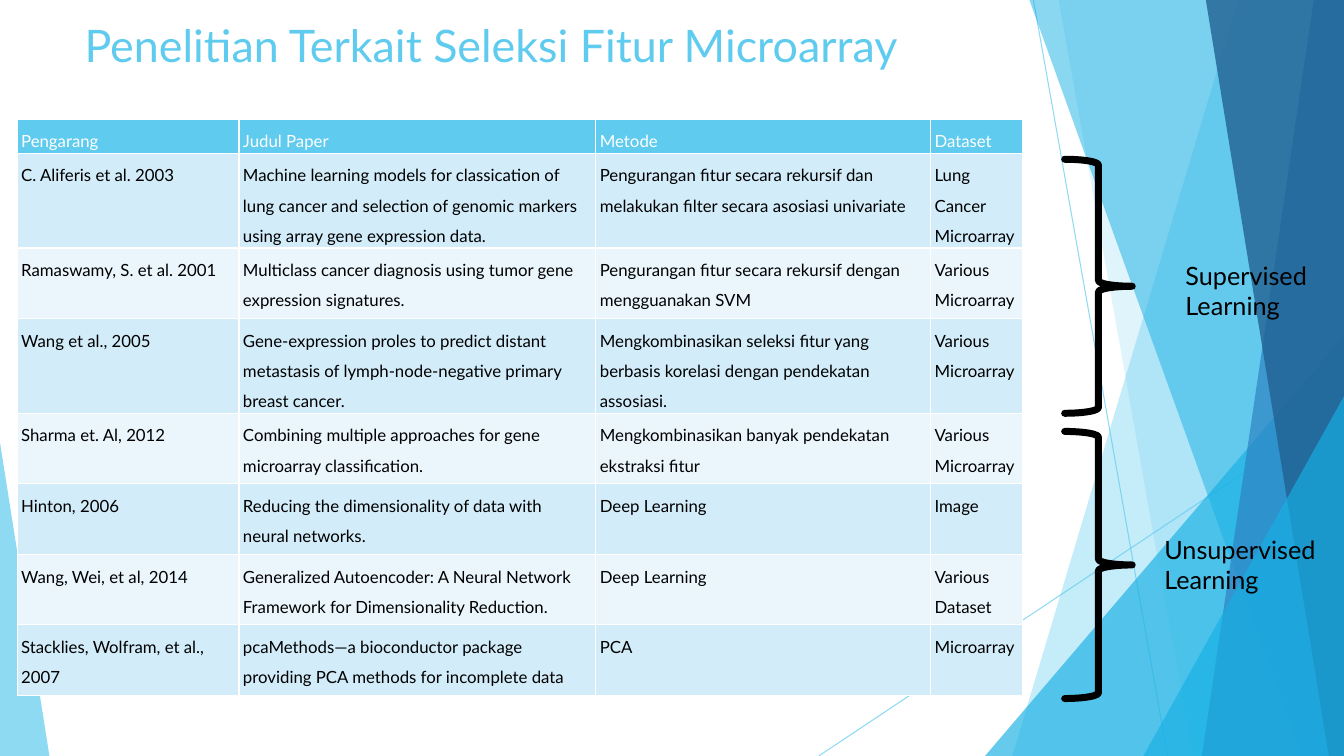
from dataclasses import dataclass

from lxml.etree import SubElement
from pptx import Presentation
from pptx.dml.color import RGBColor
from pptx.enum.shapes import MSO_CONNECTOR, MSO_SHAPE
from pptx.enum.text import MSO_ANCHOR
from pptx.oxml.ns import qn
from pptx.util import Inches, Pt


@dataclass(frozen=True)
class Theme:
    """Colours, font and type sizes of the slide."""
    font: str = "Lato"
    sky: str = "5FCBEF"
    cyan: str = "17B0E4"
    blue: str = "2E83C3"
    navy: str = "226292"
    row_dark: str = "D2ECF9"
    row_light: str = "EAF6FC"
    ink: str = "000000"
    paper: str = "FFFFFF"
    title: int = 32
    label: int = 18
    cell: int = 12


T = Theme()
W, H = 13.33, 7.5

COLUMNS = [2.2, 3.54, 3.32, 0.91]
ROW_HEIGHTS = [0.33, 0.94, 0.7, 0.94, 0.7, 0.7, 0.7, 0.7]
PAPERS = [
    ("Pengarang", "Judul Paper", "Metode", "Dataset"),
    ("C. Aliferis et al. 2003",
     "Machine learning models for classication of lung cancer and selection of "
     "genomic markers using array gene expression data.",
     "Pengurangan fitur secara rekursif dan melakukan filter secara asosiasi univariate",
     "Lung Cancer Microarray"),
    ("Ramaswamy, S. et al. 2001",
     "Multiclass cancer diagnosis using tumor gene expression signatures.",
     "Pengurangan fitur secara rekursif dengan mengguanakan SVM",
     "Various Microarray"),
    ("Wang et al., 2005",
     "Gene-expression proles to predict distant metastasis of lymph-node-negative "
     "primary breast cancer.",
     "Mengkombinasikan seleksi fitur yang berbasis korelasi dengan pendekatan assosiasi.",
     "Various Microarray"),
    ("Sharma et. Al, 2012",
     "Combining multiple approaches for gene microarray classification.",
     "Mengkombinasikan banyak pendekatan ekstraksi fitur",
     "Various Microarray"),
    ("Hinton, 2006",
     "Reducing the dimensionality of data with neural networks.",
     "Deep Learning", "Image"),
    ("Wang, Wei, et al, 2014",
     "Generalized Autoencoder: A Neural Network Framework for Dimensionality Reduction.",
     "Deep Learning", "Various Dataset"),
    ("Stacklies, Wolfram, et al., 2007",
     "pcaMethods—a bioconductor package providing PCA methods for incomplete data",
     "PCA", "Microarray"),
]


def set_alpha(fill, percent):
    """Make a solid fill partly transparent."""
    color = fill._xPr.find(qn("a:solidFill"))[0]
    SubElement(color, qn("a:alpha")).set("val", str(percent * 1000))


def paint(sp, color, alpha):
    """Give a shape a translucent fill and no outline or shadow."""
    sp.shadow.inherit = False
    sp.fill.solid()
    sp.fill.fore_color.rgb = RGBColor.from_string(color)
    set_alpha(sp.fill, alpha)
    sp.line.fill.background()


def style_text(tf, size, color):
    """Format every run of a text frame."""
    for p in tf.paragraphs:
        for r in p.runs:
            r.font.name = T.font
            r.font.size = Pt(size)
            r.font.bold = False
            r.font.color.rgb = RGBColor.from_string(color)


def add_text(slide, box, text, size, color):
    """Place a wrapped text box."""
    tf = slide.shapes.add_textbox(*map(Inches, box)).text_frame
    tf.word_wrap = True
    tf.text = text
    style_text(tf, size, color)


def add_ray(slide, start, end):
    """Draw one thin translucent line."""
    ln = slide.shapes.add_connector(MSO_CONNECTOR.STRAIGHT, *map(Inches, start + end))
    ln.line.width = Pt(0.75)
    ln.line.color.rgb = RGBColor.from_string(T.sky)
    set_alpha(ln.line.fill, 70)
    SubElement(ln._element.spPr, qn("a:effectLst"))


def add_band(slide, top_x, bottom_x, color, alpha):
    """Fill the slide from a slanted edge to its right side."""
    points = [(W, 0), (W, H), (bottom_x, H)]
    fb = slide.shapes.build_freeform(Inches(top_x), 0, scale=1)
    fb.add_line_segments([(Inches(x), Inches(y)) for x, y in points], close=True)
    paint(fb.convert_to_shape(), color, alpha)


def add_corner(slide, left, top, width, apex, color, alpha):
    """Place a triangle that stands on the bottom edge of the slide."""
    box = map(Inches, (left, top, width, H - top))
    sp = slide.shapes.add_shape(MSO_SHAPE.ISOSCELES_TRIANGLE, *box)
    sp.adjustments[0] = apex
    paint(sp, color, alpha)


def add_backdrop(slide):
    """Draw the faceted decoration from back to front."""
    add_ray(slide, (10.25, 0), (11.58, H))
    add_ray(slide, (W, 4.03), (8.12, H))
    add_band(slide, 12.28, 10.04, T.sky, 36)
    add_band(slide, 10.5, 11.83, T.sky, 20)
    add_corner(slide, 9.77, 3.33, W - 9.77, 1, T.cyan, 66)
    add_band(slide, 10.21, 12.91, T.cyan, 50)
    add_band(slide, 13.03, 11.92, T.blue, 70)
    add_band(slide, 11.96, 13.18, T.navy, 80)
    add_corner(slide, 11.34, 3.93, W - 11.34, 1, T.cyan, 66)
    add_corner(slide, 0, 4.39, 0.49, 0, T.sky, 70)


def add_papers(slide, left, top):
    """Build the table of related papers."""
    box = map(Inches, (left, top, sum(COLUMNS), sum(ROW_HEIGHTS)))
    table = slide.shapes.add_table(len(PAPERS), len(COLUMNS), *box).table
    for column, width in zip(table.columns, COLUMNS):
        column.width = Inches(width)
    for i, (row, height) in enumerate(zip(table.rows, ROW_HEIGHTS)):
        row.height = Inches(height)
        fill = T.sky if i == 0 else (T.row_light, T.row_dark)[i % 2]
        for cell, text in zip(row.cells, PAPERS[i]):
            cell.margin_left = cell.margin_right = Inches(0.04)
            cell.margin_top = cell.margin_bottom = Inches(0.02)
            cell.vertical_anchor = MSO_ANCHOR.TOP
            cell.fill.solid()
            cell.fill.fore_color.rgb = RGBColor.from_string(fill)
            cell.text_frame.text = text
            cell.text_frame.paragraphs[0].line_spacing = 1.5
            style_text(cell.text_frame, T.cell, T.ink if i else T.paper)


def add_group(slide, top, height, label_box, label):
    """Bracket a set of table rows and name it."""
    box = map(Inches, (10.56, top, 0.67, height))
    sp = slide.shapes.add_shape(MSO_SHAPE.RIGHT_BRACE, *box)
    sp.shadow.inherit = False
    sp.fill.background()
    sp.line.width = Pt(5)
    sp.line.color.rgb = RGBColor.from_string(T.ink)
    sp.line._ln.set("cap", "rnd")
    add_text(slide, label_box, label, T.label, T.ink)


def main():
    """Build and save the slide."""
    prs = Presentation()
    prs.slide_width, prs.slide_height = Inches(W), Inches(H)
    slide = prs.slides.add_slide(prs.slide_layouts[6])
    add_backdrop(slide)
    add_text(slide, (0.74, 0.13, 9.4, 1.44),
             "Penelitian Terkait Seleksi Fitur Microarray", T.title, T.sky)
    add_papers(slide, 0.17, 1.18)
    add_group(slide, 1.58, 2.52, (11.66, 2.53, 1.5, 0.71), "Supervised\nLearning")
    add_group(slide, 4.28, 2.65, (11.45, 5.25, 1.8, 0.71), "Unsupervised\nLearning")
    prs.save("out.pptx")


if __name__ == "__main__":
    main()
